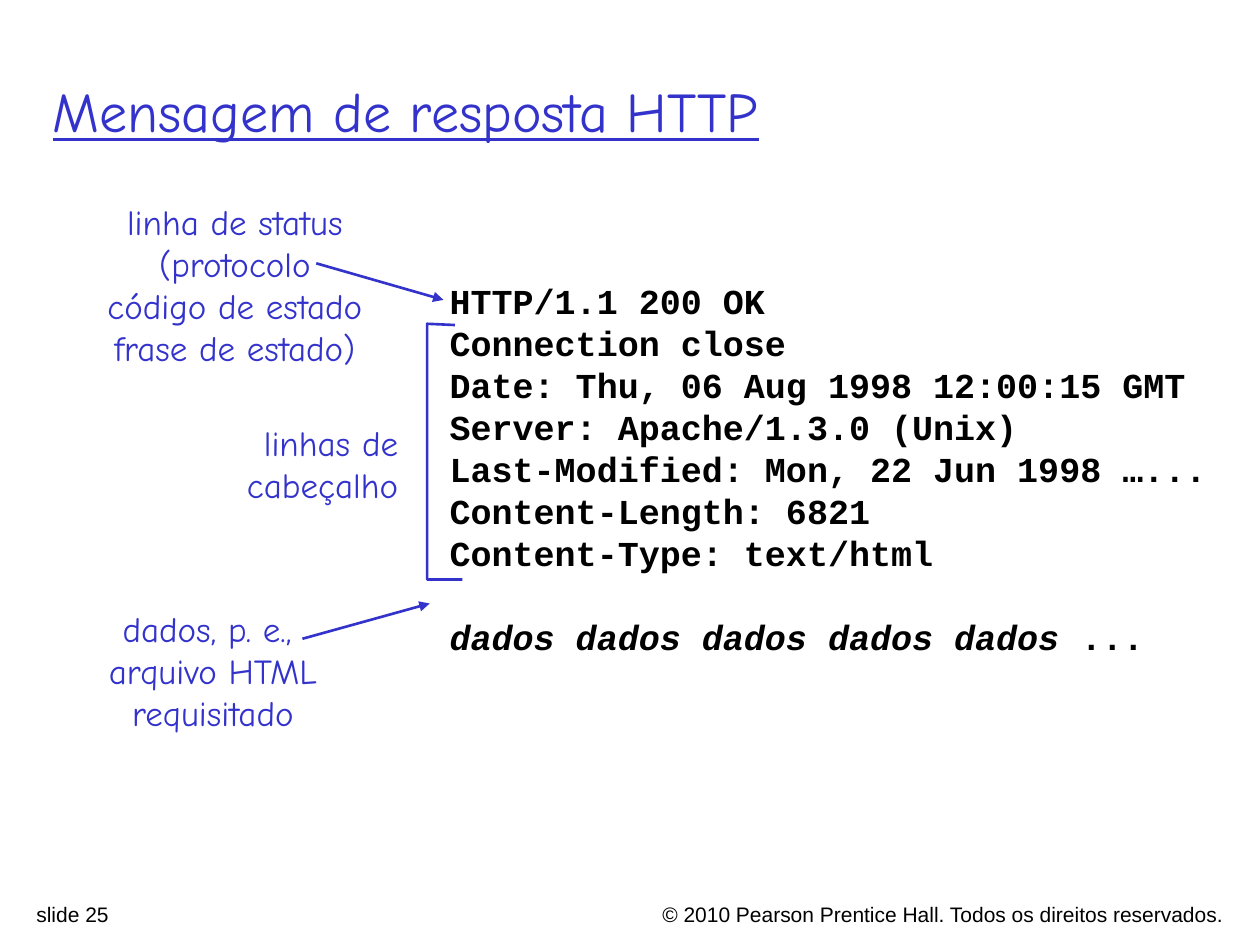
from lxml.etree import SubElement
from pptx import Presentation
from pptx.dml.color import RGBColor
from pptx.enum.shapes import MSO_CONNECTOR as Link
from pptx.enum.text import MSO_ANCHOR as Anchor, PP_ALIGN as Align
from pptx.oxml.ns import qn
from pptx.util import Inches, Pt

BLUE = RGBColor(0x33, 0x33, 0xCC)
BLACK = RGBColor(0, 0, 0)
HAND, MONO, SANS = "Comic Neue", "Courier New", "Arial"

REPLY = [
    "HTTP/1.1 200 OK",
    "Connection close",
    "Date: Thu, 06 Aug 1998 12:00:15 GMT",
    "Server: Apache/1.3.0 (Unix)",
    "Last-Modified: Mon, 22 Jun 1998 …...",
    "Content-Length: 6821",
    "Content-Type: text/html",
]
STATUS = ["linha de status", "(protocolo", "código de estado", "frase de estado)"]
HEADER = ["linhas de", "cabeçalho"]
DATA = ["dados, p. e., ", "arquivo HTML", "requisitado"]


def add_text(slide, box, lines, name, size, color, align=Align.LEFT, wrap=True, pitch=None):
    frame = slide.shapes.add_textbox(*map(Inches, box)).text_frame
    frame.word_wrap = wrap
    frame.text = "\n".join(lines)
    for para in frame.paragraphs:
        para.alignment = align
        para.line_spacing = pitch
        para.font.name = name
        para.font.size = Pt(size)
        para.font.color.rgb = color
    return frame


def add_title(slide, box):
    frame = add_text(slide, box, ["Mensagem de resposta HTTP"], HAND, 32, BLUE)
    frame.vertical_anchor = Anchor.MIDDLE
    frame.paragraphs[0].font.underline = True


def add_reply(slide, box):
    frame = add_text(slide, box, REPLY + [""], MONO, 20, BLACK, wrap=False, pitch=Pt(24))
    for para in frame.paragraphs:
        para.font.bold = True
    body = frame.paragraphs[-1]
    body.space_before = Pt(24)
    for text, slant in (("dados dados dados dados dados", True), (" ...", False)):
        run = body.add_run()
        run.text = text
        run.font.italic = slant


def add_label(slide, box, lines, align):
    add_text(slide, box, lines, HAND, 20, BLUE, align, wrap=False, pitch=Pt(24))


def add_arrow(slide, start, end):
    arrow = slide.shapes.add_connector(Link.STRAIGHT, *map(Inches, start + end))
    arrow.line.color.rgb = BLUE
    arrow.line.width = Pt(1.5)
    SubElement(arrow.line._get_or_add_ln(), qn("a:tailEnd"), type="triangle")
    SubElement(arrow._element.spPr, qn("a:effectLst"))


def add_bracket(slide, box):
    left, top, width, height = box
    base = top + height
    points = [(left + 0.22, top + 0.01), (left, top), (left, base), (left + width, base)]
    first, *rest = [(Inches(x), Inches(y)) for x, y in points]
    pen = slide.shapes.build_freeform(*first)
    pen.add_line_segments(rest, close=False)
    shape = pen.convert_to_shape()
    shape.shadow.inherit = False
    shape.fill.background()
    shape.line.color.rgb = BLUE
    shape.line.width = Pt(1.5)


def add_footer(slide, box):
    left, top, width, height = box
    notice = "© 2010 Pearson Prentice Hall. Todos os direitos reservados."
    add_text(slide, (left, top, 3.52, height), ["slide 25"], SANS, 12, BLACK)
    add_text(slide, (left + width - 5.11, top, 5.11, height), [notice],
             SANS, 12, BLACK, Align.RIGHT)


def main():
    deck = Presentation()
    deck.slide_width, deck.slide_height = Inches(10), Inches(7.5)
    slide = deck.slides.add_slide(deck.slide_layouts[6])
    add_footer(slide, (0.19, 7.11, 9.62, 0.24))
    add_title(slide, (0.32, 0.25, 8.76, 1.25))
    add_reply(slide, (3.47, 2.17, 6.38, 3.1))
    add_label(slide, (0.75, 1.54, 2.23, 1.44), STATUS, Align.CENTER)
    add_arrow(slide, (2.51, 2.09), (3.52, 2.38))
    add_bracket(slide, (3.39, 2.57, 0.28, 2.03))
    add_label(slide, (1.86, 3.3, 1.4, 0.77), HEADER, Align.RIGHT)
    add_arrow(slide, (2.4, 5.07), (3.41, 4.79))
    add_label(slide, (0.75, 4.77, 1.88, 1.1), DATA, Align.CENTER)
    deck.save("out.pptx")


if __name__ == "__main__":
    main()
